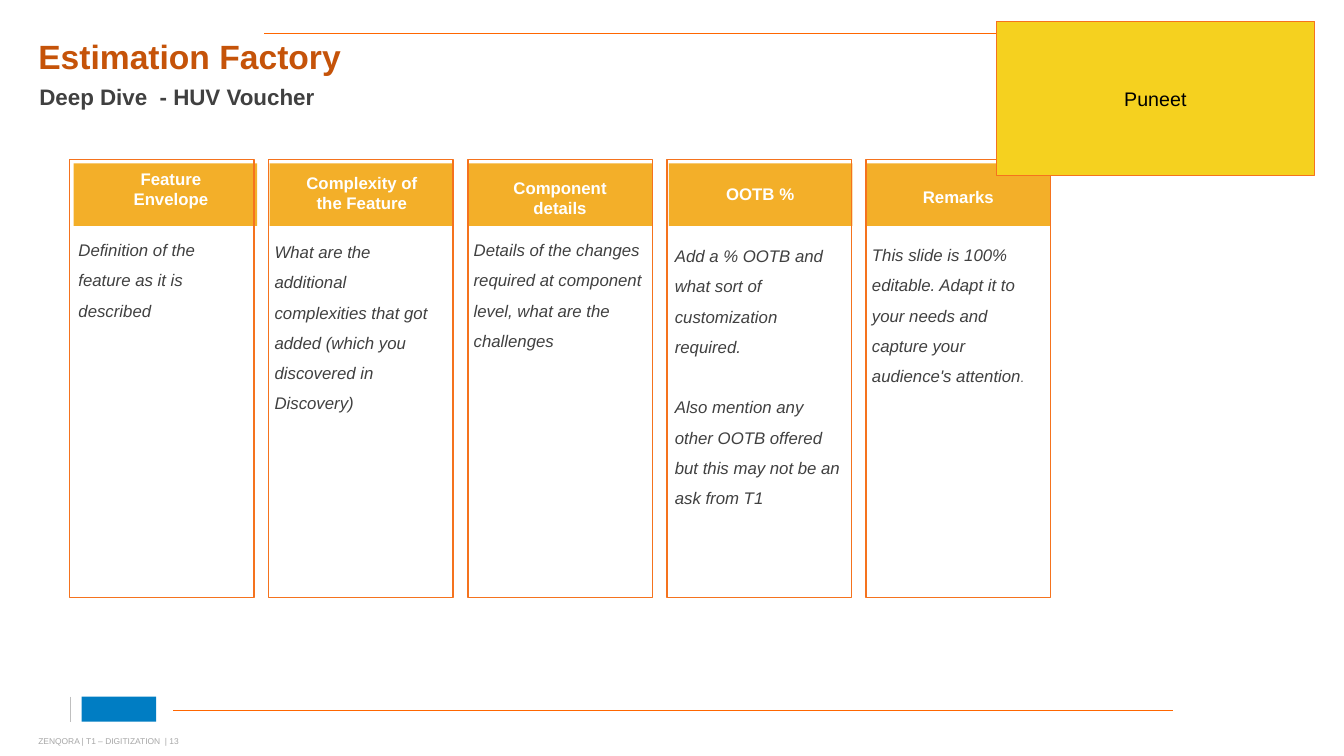
from dataclasses import dataclass

from lxml import etree
from pptx import Presentation
from pptx.dml.color import RGBColor
from pptx.enum.shapes import MSO_CONNECTOR, MSO_SHAPE
from pptx.enum.text import MSO_ANCHOR, MSO_AUTO_SIZE, PP_ALIGN
from pptx.oxml.ns import qn
from pptx.util import Inches, Pt

RECTANGLE = MSO_SHAPE.RECTANGLE
STRAIGHT = MSO_CONNECTOR.STRAIGHT
TOP, MIDDLE = MSO_ANCHOR.TOP, MSO_ANCHOR.MIDDLE
LEFT, CENTER = PP_ALIGN.LEFT, PP_ALIGN.CENTER
NO_AUTOFIT = MSO_AUTO_SIZE.NONE

RUST = RGBColor(0xC5, 0x53, 0x09)
DARK_GRAY = RGBColor(0x40, 0x40, 0x40)
FOOTER_GRAY = RGBColor(0xA6, 0xA6, 0xA6)
DIVIDER_GRAY = RGBColor(0xBF, 0xBF, 0xBF)
RULE_ORANGE = RGBColor(0xFF, 0x66, 0x00)
FRAME_ORANGE = RGBColor(0xF5, 0x73, 0x1E)
AMBER = RGBColor(0xF3, 0xAF, 0x29)
YELLOW = RGBColor(0xF5, 0xD1, 0x1F)
BRAND_BLUE = RGBColor(0x00, 0x7D, 0xC3)
WHITE = RGBColor(0xFF, 0xFF, 0xFF)
BLACK = RGBColor(0, 0, 0)

COLUMNS_LEFT, COLUMNS_TOP = 0.69, 1.58
COLUMN_PITCH, COLUMN_WIDTH, COLUMN_HEIGHT = 1.975, 1.83, 4.35
HEADER_HEIGHT, LABEL_WIDTH = 0.62, 1.35


@dataclass
class Column:
    """Content of a column; the offsets are inches from its frame's corner."""
    heading: str
    paragraphs: list
    header_dx: float
    label_dx: float
    label_dy: float
    text_dx: float
    text_dy: float
    text_height: float


COLUMNS = [
    Column("Feature Envelope", ["Definition of the feature as it is described"],
           0.04, 0.33, 0.04, -0.01, 0.65, 0.97),
    Column("Complexity of the Feature",
           ["What are the additional complexities that got added "
            "(which you discovered in Discovery)"],
           0.01, 0.25, 0.08, -0.04, 0.67, 1.58),
    Column("Component details",
           ["Details of the changes required at component level, "
            "what are the challenges"],
           0.01, 0.24, 0.13, -0.04, 0.65, 1.28),
    Column("OOTB %",
           ["Add a % OOTB and what sort of customization required.",
            "Also mention any other OOTB offered but this may not be an ask from T1"],
           0.02, 0.25, 0.19, -0.02, 0.71, 2.79),
    Column("Remarks",
           ["This slide is 100% editable. Adapt it to your needs and capture "
            "your audience's attention"],
           0.01, 0.24, 0.22, -0.04, 0.70, 1.58),
]


def write(shape, paragraphs, size, color, bold=False, italic=False, align=LEFT,
          anchor=TOP, insets=(0.1, 0.05), spacing=1.0, gap=0):
    """Fill a shape with paragraphs set gap points apart."""
    frame = shape.text_frame
    frame.word_wrap = True
    frame.auto_size = NO_AUTOFIT
    frame.vertical_anchor = anchor
    frame.margin_left = frame.margin_right = Inches(insets[0])
    frame.margin_top = frame.margin_bottom = Inches(insets[1])
    for index, text in enumerate(paragraphs):
        paragraph = frame.paragraphs[0] if index == 0 else frame.add_paragraph()
        paragraph.alignment = align
        paragraph.line_spacing = spacing
        paragraph.space_before = Pt(gap if index else 0)
        style_run(paragraph.add_run(), text, size, color, bold, italic)
    return frame


def style_run(run, text, size, color, bold=False, italic=False):
    run.text = text
    run.font.name = "Arial"
    run.font.size = Pt(size)
    run.font.bold = bold
    run.font.italic = italic
    run.font.color.rgb = color


def place(shape, box):
    shape.left, shape.top, shape.width, shape.height = map(Inches, box)


def add_text(slide, box, paragraphs, **text_format):
    return write(slide.shapes.add_textbox(*map(Inches, box)), paragraphs, **text_format)


def add_rectangle(slide, box, fill=None, line=None, line_width=1):
    rectangle = slide.shapes.add_shape(RECTANGLE, *map(Inches, box))
    rectangle.shadow.inherit = False
    if fill is None:
        rectangle.fill.background()
    else:
        rectangle.fill.solid()
        rectangle.fill.fore_color.rgb = fill
    if line is None:
        rectangle.line.fill.background()
    else:
        rectangle.line.color.rgb = line
        rectangle.line.width = Pt(line_width)
    return rectangle


def add_rule(slide, start, end, color):
    rule = slide.shapes.add_connector(STRAIGHT, *map(Inches, start + end))
    rule.line.color.rgb = color
    rule.line.width = Pt(0.5)
    etree.SubElement(rule._element.spPr, qn("a:effectLst"))


def add_headings(slide, box):
    left, top, width, height = box
    add_rule(slide, (left + 2.24, top - 0.01), (left + width, top - 0.01), RULE_ORANGE)
    title, subtitle = slide.shapes.title, slide.placeholders[1]
    place(title, (left, top, width, 0.48))
    write(title, ["Estimation Factory"], size=24, color=RUST, bold=True,
          anchor=MIDDLE, insets=(0, 0), spacing=0.9)
    place(subtitle, (left + 0.01, top + height - 0.28, width - 0.01, 0.28))
    frame = write(subtitle, ["Deep Dive  - HUV Voucher"], size=16, color=DARK_GRAY,
                  bold=True, anchor=MIDDLE, insets=(0, 0), spacing=0.9)
    properties = frame.paragraphs[0]._p.get_or_add_pPr()
    properties.set("marL", "0")
    properties.set("indent", "0")
    etree.SubElement(properties, qn("a:buNone"))


def add_column(slide, box, column):
    left, top, width, height = box
    add_rectangle(slide, (left + column.header_dx, top + 0.04, width - 0.01, HEADER_HEIGHT),
                  fill=AMBER)
    add_text(slide, (left + column.label_dx, top + column.label_dy, LABEL_WIDTH, 0.5),
             [column.heading], size=12, color=WHITE, bold=True, align=CENTER)
    add_rectangle(slide, box, line=FRAME_ORANGE)
    return add_text(slide, (left + column.text_dx, top + column.text_dy,
                            width + 0.04, column.text_height),
                    column.paragraphs, size=12, color=DARK_GRAY, italic=True,
                    spacing=1.5, gap=21.6)


def add_columns(slide, left, top):
    for index, column in enumerate(COLUMNS):
        box = (left + index * COLUMN_PITCH, top, COLUMN_WIDTH, COLUMN_HEIGHT)
        description = add_column(slide, box, column)
    full_stop = description.paragraphs[0].add_run()
    style_run(full_stop, ".", 9, DARK_GRAY, italic=True)


def add_owner_note(slide, box):
    note = add_rectangle(slide, box, fill=YELLOW, line=FRAME_ORANGE, line_width=0.75)
    write(note, ["Puneet"], size=14, color=BLACK, align=CENTER, anchor=MIDDLE)


def add_footer(slide, box):
    left, top, width, height = box
    add_rule(slide, (left + 0.32, top), (left + 0.32, top + 0.25), DIVIDER_GRAY)
    add_rectangle(slide, (left + 0.43, top, 0.74, 0.25), fill=BRAND_BLUE)
    add_rule(slide, (left + 1.34, top + 0.14), (left + width, top + 0.14), RULE_ORANGE)
    add_text(slide, (left, top + height - 0.3, 2.31, 0.3),
             ["ZENQORA | T1 – DIGITIZATION  | 13"], size=6, color=FOOTER_GRAY,
             anchor=MIDDLE, insets=(0, 0.05))


def main():
    presentation = Presentation()
    presentation.slide_width, presentation.slide_height = Inches(13.33), Inches(7.5)
    slide = presentation.slides.add_slide(presentation.slide_layouts[1])
    add_footer(slide, (0.38, 6.91, 11.25, 0.59))
    add_headings(slide, (0.38, 0.34, 12.58, 0.77))
    add_columns(slide, COLUMNS_LEFT, COLUMNS_TOP)
    add_owner_note(slide, (9.88, 0.21, 3.16, 1.53))
    presentation.save("out.pptx")


if __name__ == "__main__":
    main()
